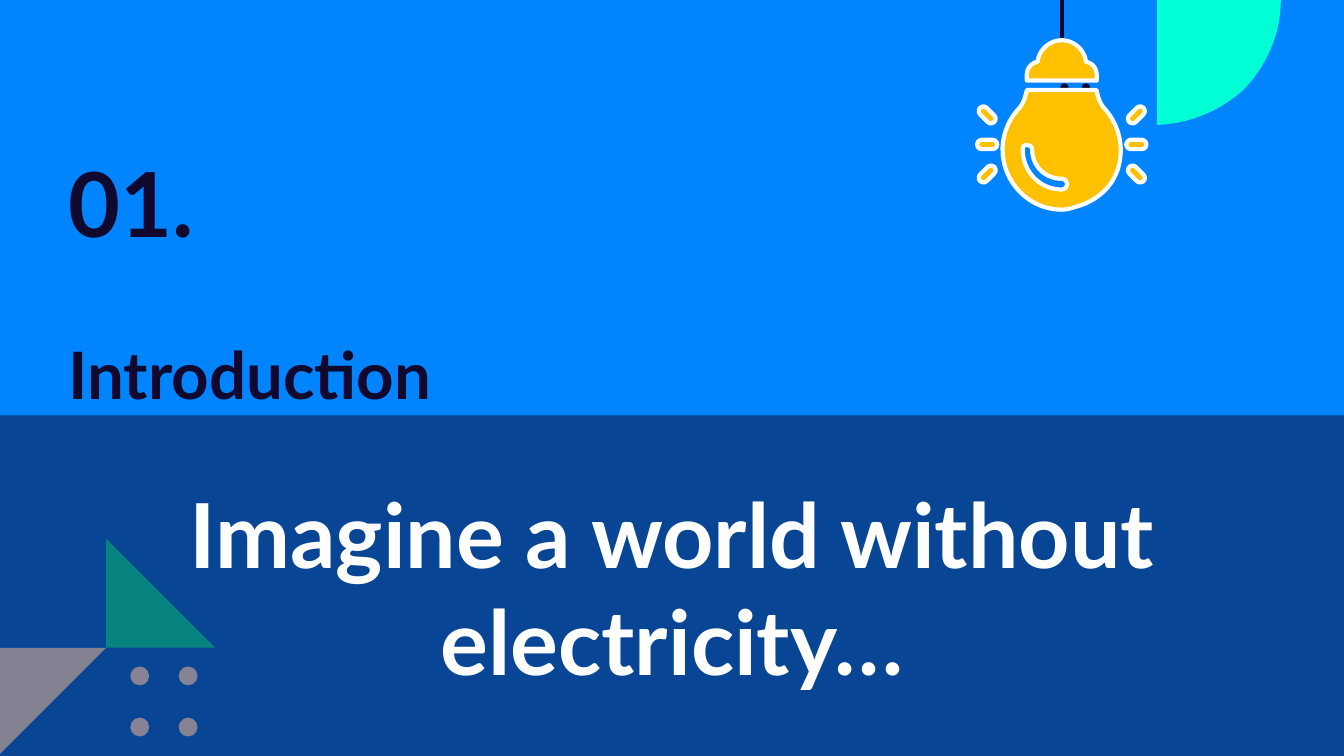
from pptx import Presentation
from pptx import util as u
from pptx.dml.color import RGBColor
from pptx.enum import shapes, text
from pptx.oxml.ns import qn
from lxml import etree

SCALE = 9144
FONT = "Lato"
COLORS = {"sky": "0084FF", "ink": "10092D", "wire": "0F082D", "mint": "00FFD5",
          "amber": "FFC000", "white": "FFFFFF", "paper": "FAFAFA"}
SHAPE = shapes.MSO_SHAPE

QUARTER = [[(0, 0), (0, 93), (25, 92, 48, 82, 65, 66), (81, 49, 92, 26, 92, 0)]]
CAP = [[(89, 60), (89, 56), (89, 51, 86, 47, 81, 46), (80, 37, 72, 30, 63, 30),
        (54, 30, 46, 37, 45, 46), (40, 47, 37, 51, 37, 56), (37, 60)]]
GLASS = [(63, 156), (67, 156, 70, 155, 73, 154), (89, 150, 103, 138, 106, 121),
         (109, 107, 105, 93, 96, 82), (92, 78, 90, 73, 89, 67), (37, 67),
         (36, 73, 34, 78, 30, 82), (23, 90, 19, 101, 19, 111),
         (19, 136, 39, 156, 63, 156)]
GLINT = [(63, 141), (47, 141, 34, 128, 34, 111), (34, 109, 35, 108, 37, 108),
         (39, 108, 41, 109, 41, 111), (41, 124, 51, 133, 63, 133),
         (65, 133, 67, 135, 67, 137), (67, 139, 65, 141, 63, 141)]


def px(n):
    return u.Emu(round(n * SCALE))


def rgb(name):
    return RGBColor.from_string(COLORS[name])


def paint(sp, fill, line=None):
    sp.shadow.inherit = False
    sp.fill.solid()
    sp.fill.fore_color.rgb = rgb(fill)
    if line:
        sp.line.color.rgb = rgb(line)
        sp.line.width = u.Pt(2.25)
    else:
        sp.line.fill.background()
    return sp


def add_preset(s, kind, box, fill, line=None):
    return paint(s.shapes.add_shape(kind, *map(px, box)), fill, line)


def flatten(contour, steps=16):
    points = [contour[0]]
    for node in contour[1:]:
        if len(node) == 2:
            points.append(node)
            continue
        start, ctrl = points[-1], (node[:2], node[2:4], node[4:])
        for i in range(1, steps + 1):
            t = i / steps
            weights = ((1 - t) ** 3, 3 * t * (1 - t) ** 2, 3 * t * t * (1 - t), t ** 3)
            points.append(tuple(sum(w * c[k] for w, c in zip(weights, (start, *ctrl)))
                                for k in (0, 1)))
    return points


def add_outline(s, x, y, contours, fill, line=None):
    fb = None
    for contour in contours:
        points = [(px(x + a), px(y + b)) for a, b in flatten(contour)]
        if fb is None:
            fb = s.shapes.build_freeform(*points[0], scale=1.0)
        else:
            fb.move_to(*points[0])
        fb.add_line_segments(points[1:], close=True)
    return paint(fb.convert_to_shape(), fill, line)


def add_run(p, words, size, color):
    r = p.add_run()
    r.text = words
    f = r.font
    f.name, f.size, f.bold = FONT, u.Pt(size), True
    f.color.rgb = rgb(color)


def set_frame(tf):
    tf.word_wrap = True
    tf.auto_size = text.MSO_AUTO_SIZE.NONE
    tf.vertical_anchor = text.MSO_ANCHOR.MIDDLE
    tf.margin_left = tf.margin_right = tf.margin_top = tf.margin_bottom = px(10)


def add_title(s, box):
    sp = s.shapes.title
    sp.left, sp.top, sp.width, sp.height = map(px, box)
    tf = sp.text_frame
    set_frame(tf)
    p = tf.paragraphs[0]
    p.alignment = text.PP_ALIGN.LEFT
    add_run(p, "01.", 48, "ink")
    p = tf.add_paragraph()
    p.alignment = text.PP_ALIGN.LEFT
    p.space_before = u.Pt(42)
    add_run(p, "Introduction", 35, "ink")


def add_corner(s, x, y, side):
    sp = add_preset(s, SHAPE.RIGHT_TRIANGLE, (x, y + side, side, side), "paper")
    sp.rotation = 90
    add_preset(s, SHAPE.RIGHT_TRIANGLE, (x + side, y, side, side), "mint")
    for dx in (99, 135):
        for dy in (95, 133):
            add_preset(s, SHAPE.OVAL, (x + dx, y + dy, 14, 14), "white")


def add_bulb(s, x, y):
    for dx in (62, 78):
        add_preset(s, SHAPE.OVAL, (x + dx, y + 62, 6, 6), "ink")
    wire = s.shapes.add_connector(shapes.MSO_CONNECTOR.STRAIGHT,
                                  px(x + 63), px(y), px(x + 63), px(y + 45))
    wire.line.color.rgb = rgb("wire")
    wire.line.width = u.Pt(2.25)
    etree.SubElement(wire._element.spPr, qn("a:effectLst"))
    add_outline(s, x, y, CAP, "amber", "white")
    add_outline(s, x, y, [GLASS, GLINT], "amber", "white")
    for dx, side in ((0, -1), (111, 1)):
        for row in (-1, 0, 1):
            ray = add_preset(s, SHAPE.ROUNDED_RECTANGLE,
                             (x + dx, y + 104 + 22 * row, 15, 7), "amber", "white")
            ray.adjustments[0] = 0.5
            ray.rotation = 45 * side * row


def add_banner(s, box):
    sp = add_preset(s, SHAPE.RECTANGLE, box, "ink")
    color = sp._element.spPr.find(qn("a:solidFill"))[0]
    etree.SubElement(color, qn("a:alpha")).set("val", "50000")
    tf = sp.text_frame
    set_frame(tf)
    p = tf.paragraphs[0]
    p.alignment = text.PP_ALIGN.CENTER
    add_run(p, "Imagine a world without electricity…", 48, "white")


def main():
    prs = Presentation()
    prs.slide_width = px(1000)
    prs.slide_height = px(1000 * 9 / 16)
    s = prs.slides.add_slide(prs.slide_layouts[5])
    s.background.fill.solid()
    s.background.fill.fore_color.rgb = rgb("sky")
    add_corner(s, -2, 401, 81)
    add_title(s, (41, 62, 314, 293))
    add_outline(s, 861, 0, QUARTER, "mint")
    add_bulb(s, 727, 0)
    add_banner(s, (0, 309, 1000, 254))
    prs.save("out.pptx")


if __name__ == "__main__":
    main()
